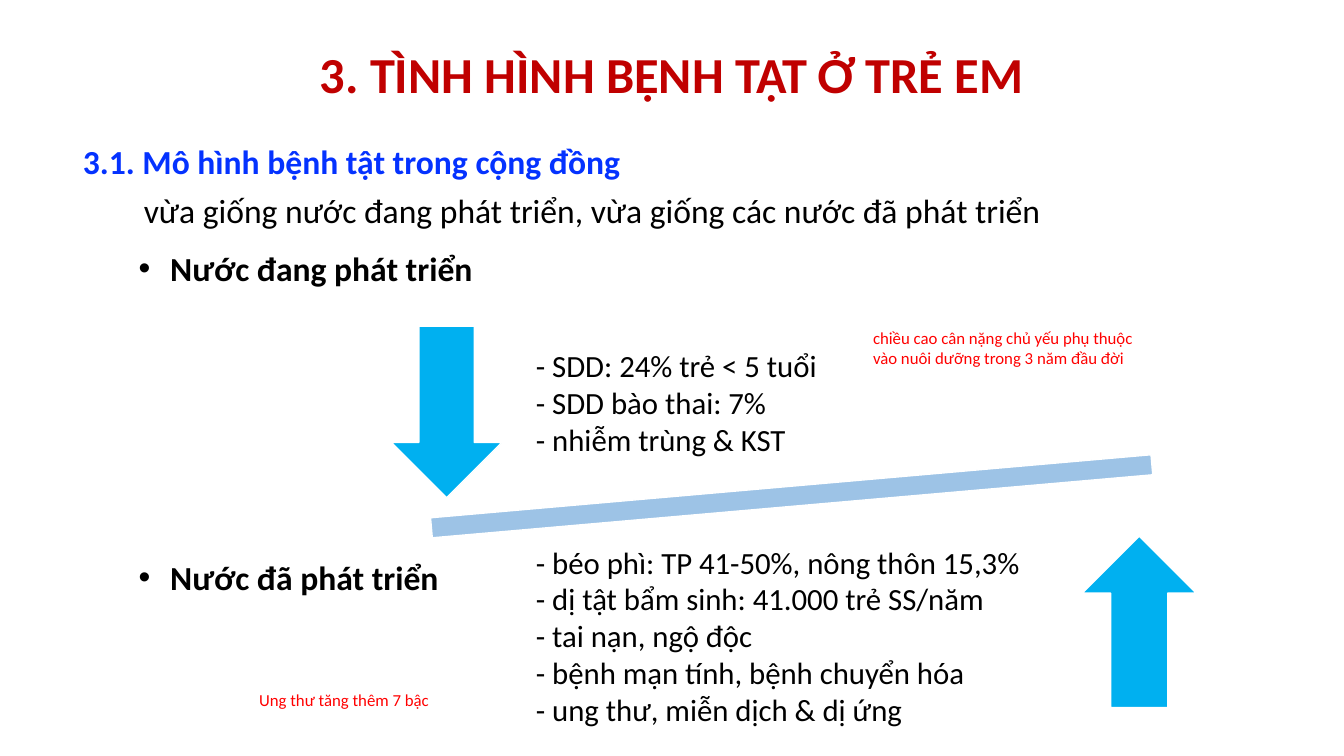
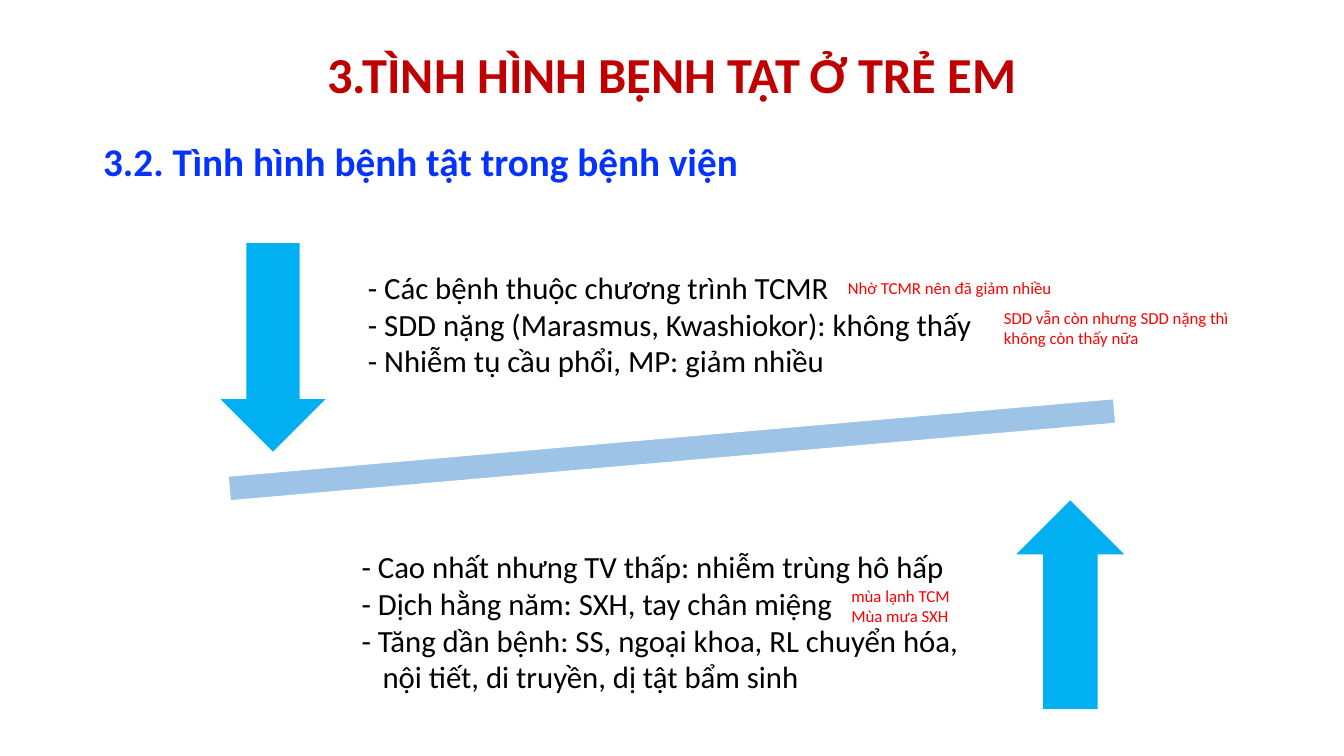
import pptx
import pptx.util
import pptx.dml.color
import pptx.enum.shapes
import pptx.enum.text
import pptx.oxml.ns
from lxml import etree

Pt = pptx.util.Pt
SHAPE = pptx.enum.shapes.MSO_SHAPE
ANCHOR = pptx.enum.text.MSO_ANCHOR
ALIGN = pptx.enum.text.PP_ALIGN
COLORS = {
    "title": "C00000",
    "heading": "0432FF",
    "text": "000000",
    "note": "FF0000",
    "arrow": "00B0F0",
    "beam": "9DC3E6",
    "line": "FFFFFF",
}
FONT = "Calibri"


def rgb(name):
    return pptx.dml.color.RGBColor.from_string(COLORS[name])


def write(tf, text, size=22, color="text", bold=False, align=ALIGN.LEFT,
          before=0, spacing=None, margin=0, hanging=0, bullet=None):
    p = tf.paragraphs[0]
    if p.runs:
        p = tf.add_paragraph()
    ppr = p._p.get_or_add_pPr()
    ppr.set("marL", str(Pt(margin)))
    ppr.set("indent", str(Pt(-hanging)))
    qn = pptx.oxml.ns.qn
    if bullet:
        etree.SubElement(ppr, qn("a:buFont")).set("typeface", "Arial")
        etree.SubElement(ppr, qn("a:buChar")).set("char", bullet)
    else:
        etree.SubElement(ppr, qn("a:buNone"))
    p.alignment = align
    p.space_before = Pt(before)
    if spacing:
        p.line_spacing = spacing
    r = p.add_run()
    r.text = text
    r.font.name = FONT
    r.font.size = Pt(size)
    r.font.bold = bold
    r.font.color.rgb = rgb(color)


def place(sp, box):
    sp.left, sp.top, sp.width, sp.height = map(Pt, box)


def frame(sp, anchor=ANCHOR.TOP, inset=None):
    tf = sp.text_frame
    tf.word_wrap = True
    tf.auto_size = pptx.enum.text.MSO_AUTO_SIZE.NONE
    tf.vertical_anchor = anchor
    if inset:
        tf.margin_left = tf.margin_right = Pt(inset)
        tf.margin_top = tf.margin_bottom = Pt(inset)
    return tf


def add_box(s, box, **kwargs):
    return frame(s.shapes.add_textbox(*map(Pt, box)), **kwargs)


def add_slide(prs, title, body_box, body_anchor):
    s = prs.slides.add_slide(prs.slide_layouts[1])
    place(s.shapes.title, (156, 22, 648, 61))
    write(frame(s.shapes.title, ANCHOR.MIDDLE), title, size=36,
          color="title", bold=True, align=ALIGN.CENTER)
    body = s.placeholders[1]
    place(body, body_box)
    return s, frame(body, body_anchor)


def add_shape(s, kind, box, color, rotation=0):
    sp = s.shapes.add_shape(kind, *map(Pt, box))
    sp.shadow.inherit = False
    sp.rotation = rotation
    sp.fill.solid()
    sp.fill.fore_color.rgb = rgb(color)
    sp.line.color.rgb = rgb("line")
    sp.line.width = Pt(1)


def add_balance(s, beam, down, up):
    add_shape(s, SHAPE.MATH_MINUS, beam, "beam", rotation=355)
    add_shape(s, SHAPE.DOWN_ARROW, down, "arrow")
    add_shape(s, SHAPE.UP_ARROW, up, "arrow")


def add_points(s, box, points, continuation=None):
    tf = add_box(s, box, anchor=ANCHOR.MIDDLE, inset=12.3)
    for point in points:
        write(tf, "- " + point)
    if continuation:
        write(tf, continuation, margin=15)


def add_note(s, box, *lines):
    tf = add_box(s, box)
    for line in lines:
        write(tf, line, size=12, color="note")


def add_group_label(s, top, text):
    write(add_box(s, (92, top, 279, 36)), text, size=24, bold=True,
          margin=22.5, hanging=22.5, bullet="•")


def build_community(prs):
    s, tf = add_slide(prs, "3. TÌNH HÌNH BỆNH TẬT Ở TRẺ EM",
                      (52, 97, 856, 71), ANCHOR.MIDDLE)
    write(tf, "3.1. Mô hình bệnh tật trong cộng đồng",
          size=24, color="heading", bold=True)
    write(tf, "vừa giống nước đang phát triển, vừa giống các nước đã phát triển",
          size=24, before=6, margin=43.5)
    add_balance(s, (214, 324, 703, 61), (279.5, 233, 79, 122.5),
                (773, 383, 81.5, 122.5))
    add_points(s, (370.5, 222.5, 340, 129), [
        "SDD: 24% trẻ < 5 tuổi",
        "SDD bào thai: 7%",
        "nhiễm trùng & KST",
    ])
    add_points(s, (370.5, 389.5, 387, 129), [
        "béo phì: TP 41-50%, nông thôn 15,3%",
        "dị tật bẩm sinh: 41.000 trẻ SS/năm",
        "tai nạn, ngộ độc",
        "bệnh mạn tính, bệnh chuyển hóa",
        "ung thư, miễn dịch & dị ứng",
    ])
    add_group_label(s, 173.5, "Nước đang phát triển")
    add_group_label(s, 394, "Nước đã phát triển")
    add_note(s, (616.5, 230.5, 214.5, 51),
             "chiều cao cân nặng chủ yếu phụ thuộc vào nuôi dưỡng trong 3 năm đầu đời")
    add_note(s, (178, 489, 148, 22), "Ung thư tăng thêm 7 bậc")


def build_hospital(prs):
    s, tf = add_slide(prs, "3.TÌNH HÌNH BỆNH TẬT Ở TRẺ EM",
                      (66.5, 98, 865, 40), ANCHOR.TOP)
    write(tf, "3.2. Tình hình bệnh tật trong bệnh viện", size=28,
          color="heading", bold=True, spacing=0.9, margin=18, hanging=18)
    add_balance(s, (48, 283.5, 864, 75.5), (156, 173, 78, 150.5),
                (724.5, 356.5, 80, 150.5))
    add_points(s, (250.5, 152, 568, 158.5), [
        "Các bệnh thuộc chương trình TCMR",
        "SDD nặng (Marasmus, Kwashiokor): không thấy",
        "Nhiễm tụ cầu phổi, MP: giảm nhiều",
    ])
    add_points(s, (246, 364.5, 467.5, 158.5), [
        "Cao nhất nhưng TV thấp: nhiễm trùng hô hấp",
        "Dịch hằng năm: SXH, tay chân miệng",
        "Tăng dần bệnh: SS, ngoại khoa, RL chuyển hóa,",
    ], "nội tiết, di truyền, dị tật bẩm sinh")
    add_note(s, (710, 216, 205, 36),
             "SDD vẫn còn nhưng SDD nặng thì không còn thấy nữa")
    add_note(s, (598.5, 194.5, 205, 22), "Nhờ TCMR nên đã giảm nhiều")
    add_note(s, (601, 415, 205, 36), "mùa lạnh TCM", "Mùa mưa SXH")


def main():
    prs = pptx.Presentation()
    prs.slide_width, prs.slide_height = Pt(960), Pt(540)
    build_community(prs)
    build_hospital(prs)
    prs.save("out.pptx")


if __name__ == "__main__":
    main()
